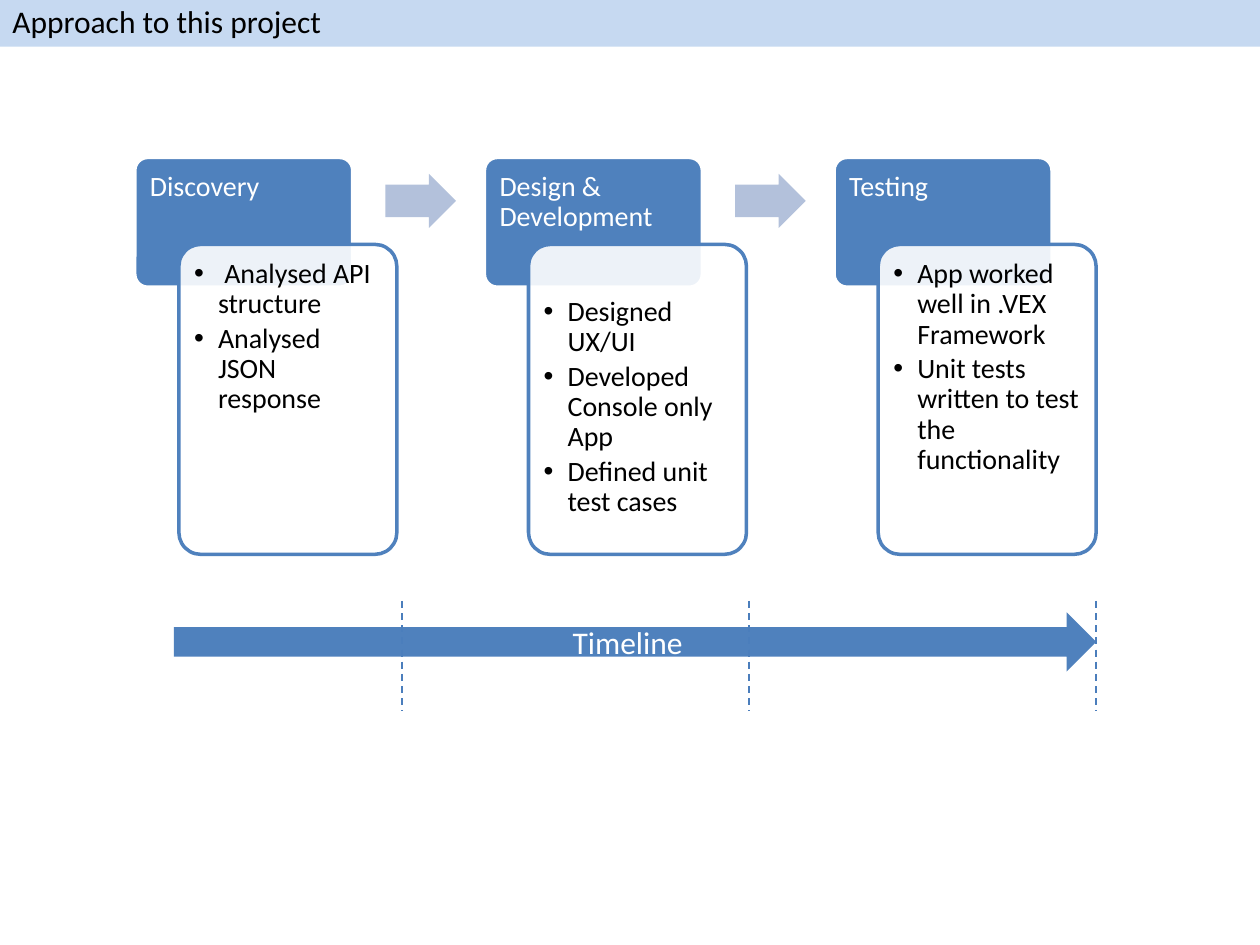
"""Build the project approach slide: three phases above a timeline."""
from dataclasses import dataclass

from lxml import etree
from pptx import Presentation
from pptx.dml.color import RGBColor
from pptx.enum import dml, shapes, text
from pptx.oxml.ns import qn
from pptx.util import Inches, Pt

TITLE = "Approach to this project"
TIMELINE = "Timeline"
PHASES = [
    {"name": "Discovery", "top_inset": 0.07,
     "tasks": [" Analysed API structure", "Analysed JSON response"]},
    {"name": "Design & Development", "top_inset": 0.37,
     "tasks": ["Designed UX/UI", "Developed Console only App",
               "Defined unit test cases"]},
    {"name": "Testing", "top_inset": 0.07,
     "tasks": ["App worked well in .VEX Framework",
               "Unit tests written to test the functionality"]},
]


@dataclass(frozen=True)
class Theme:
    font: str = "Calibri"
    large: int = 18
    body: int = 16
    banner: str = "C6D9F1"
    accent: str = "4F81BD"
    step: str = "B3C1DB"
    marker: str = "4B7EBC"
    light: str = "FFFFFF"
    dark: str = "000000"


THEME = Theme()
SHAPE = shapes.MSO_SHAPE
GAPS = len(PHASES) - 1
FIRST_LEFT, LAST_LEFT, WIDTH = 1.07, 6.62, 1.73
PITCH = (LAST_LEFT - FIRST_LEFT) / GAPS
CARD_SHIFT = 0.35
TIMELINE_LEFT, TIMELINE_END = 1.38, 8.7
MARKER_START = 3.19
MARKER_PITCH = (TIMELINE_END - MARKER_START) / GAPS


def rgb(value):
    return RGBColor.from_string(value)


def add_block(slide, preset, box, fill, line=None, alpha=None, adjust=()):
    block = slide.shapes.add_shape(preset, *map(Inches, box))
    block.shadow.inherit = False
    block.fill.solid()
    block.fill.fore_color.rgb = rgb(fill)
    if alpha is not None:
        color = block._element.spPr.find(qn("a:solidFill"))[0]
        etree.SubElement(color, qn("a:alpha"), val=str(alpha * 1000))
    if line:
        block.line.color.rgb = rgb(line)
        block.line.width = Pt(2)
    else:
        block.line.fill.background()
    for index, value in enumerate(adjust):
        block.adjustments[index] = value
    return block


def write(block, lines, *, color, size, insets=(0.1, 0.05, 0.1, 0.05),
          align=text.PP_ALIGN.LEFT, anchor=text.MSO_ANCHOR.TOP,
          spacing=1.0, after=0, bullets=False):
    frame = block.text_frame
    frame.word_wrap = True
    frame.vertical_anchor = anchor
    (frame.margin_left, frame.margin_top,
     frame.margin_right, frame.margin_bottom) = map(Inches, insets)
    for index, line in enumerate(lines):
        paragraph = frame.add_paragraph() if index else frame.paragraphs[0]
        paragraph.alignment = align
        paragraph.line_spacing = spacing
        paragraph.space_after = Pt(after)
        if bullets:
            properties = paragraph._p.get_or_add_pPr()
            properties.set("marL", str(Inches(0.19)))
            properties.set("indent", str(Inches(-0.19)))
            etree.SubElement(properties, qn("a:buFont"), typeface="Arial")
            etree.SubElement(properties, qn("a:buChar"), char="•")
        run = paragraph.add_run()
        run.text = line
        run.font.name = THEME.font
        run.font.size = Pt(size)
        run.font.color.rgb = rgb(color)


def add_phase(slide, left, phase):
    header = add_block(slide, SHAPE.ROUNDED_RECTANGLE, (left, 1.25, WIDTH, 1.03),
                       THEME.accent, line=THEME.light, adjust=[0.1])
    write(header, [phase["name"]], color=THEME.light, size=THEME.body,
          insets=(0.09, 0.09, 0.09, 0.07), spacing=0.9)
    card = add_block(slide, SHAPE.ROUNDED_RECTANGLE,
                     (left + CARD_SHIFT, 1.94, WIDTH, 2.46),
                     THEME.light, line=THEME.accent, alpha=90, adjust=[0.1])
    write(card, phase["tasks"], color=THEME.dark, size=THEME.body,
          insets=(0.07, phase["top_inset"], 0.07, 0.07),
          spacing=0.9, after=2.5, bullets=True)


def add_marker(slide, x):
    marker = slide.shapes.add_connector(
        shapes.MSO_CONNECTOR.STRAIGHT, *map(Inches, (x, 4.77, x, 5.64)))
    marker.line.color.rgb = rgb(THEME.marker)
    marker.line.width = Pt(1)
    marker.line.dash_style = dml.MSO_LINE.DASH
    etree.SubElement(marker._element.spPr, qn("a:effectLst"))


def main():
    deck = Presentation()
    deck.slide_width, deck.slide_height = Inches(10), Inches(7.5)
    slide = deck.slides.add_slide(deck.slide_layouts[6])

    banner = add_block(slide, SHAPE.RECTANGLE, (0, -0.03, 10, 0.4), THEME.banner)
    write(banner, [TITLE], color=THEME.dark, size=THEME.large)

    for index, phase in enumerate(PHASES):
        left = FIRST_LEFT + index * PITCH
        add_phase(slide, left, phase)
        if index < GAPS:
            add_block(slide, SHAPE.RIGHT_ARROW, (left + 1.99, 1.38, 0.56, 0.43),
                      THEME.step, adjust=[0.6, 0.5])

    timeline = add_block(
        slide, SHAPE.RIGHT_ARROW,
        (TIMELINE_LEFT, 4.86, TIMELINE_END - TIMELINE_LEFT, 0.47), THEME.accent)
    write(timeline, [TIMELINE], color=THEME.light, size=THEME.large,
          align=text.PP_ALIGN.CENTER, anchor=text.MSO_ANCHOR.MIDDLE)

    for index in range(len(PHASES)):
        add_marker(slide, MARKER_START + index * MARKER_PITCH)

    deck.save("out.pptx")


if __name__ == "__main__":
    main()
